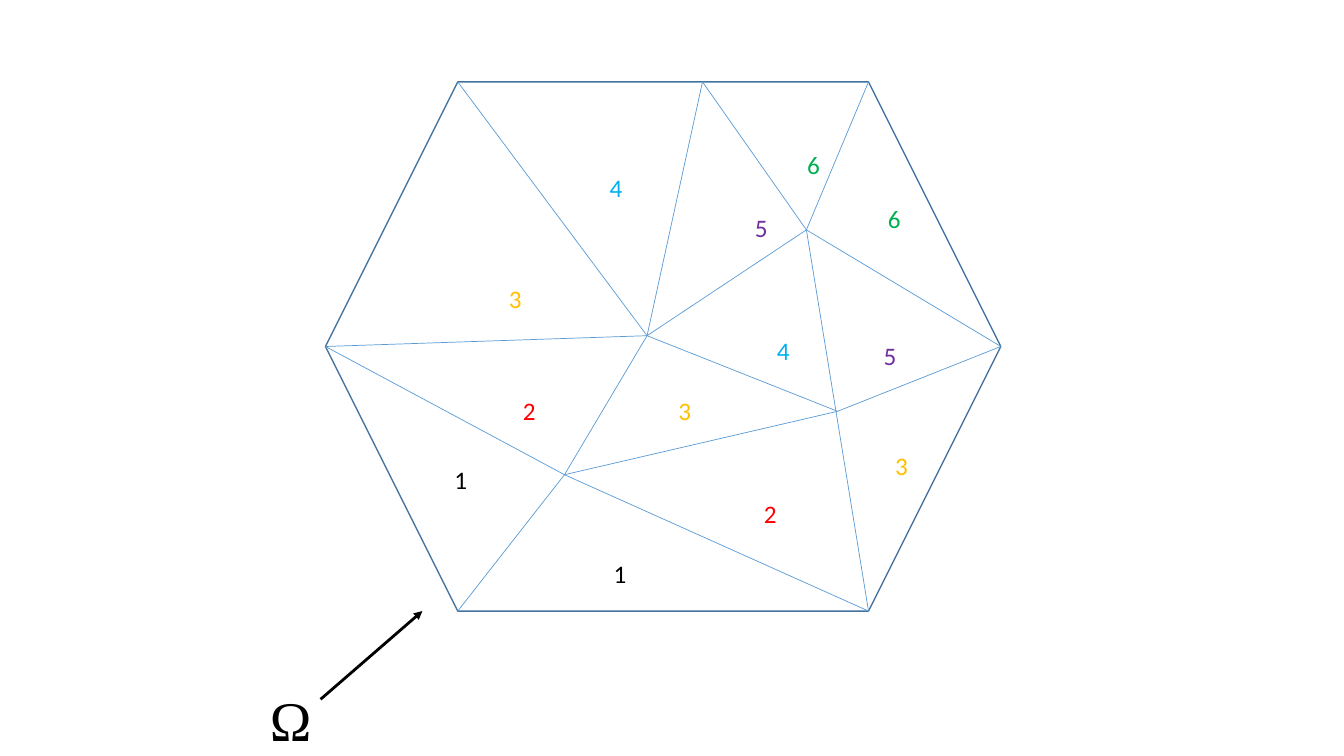
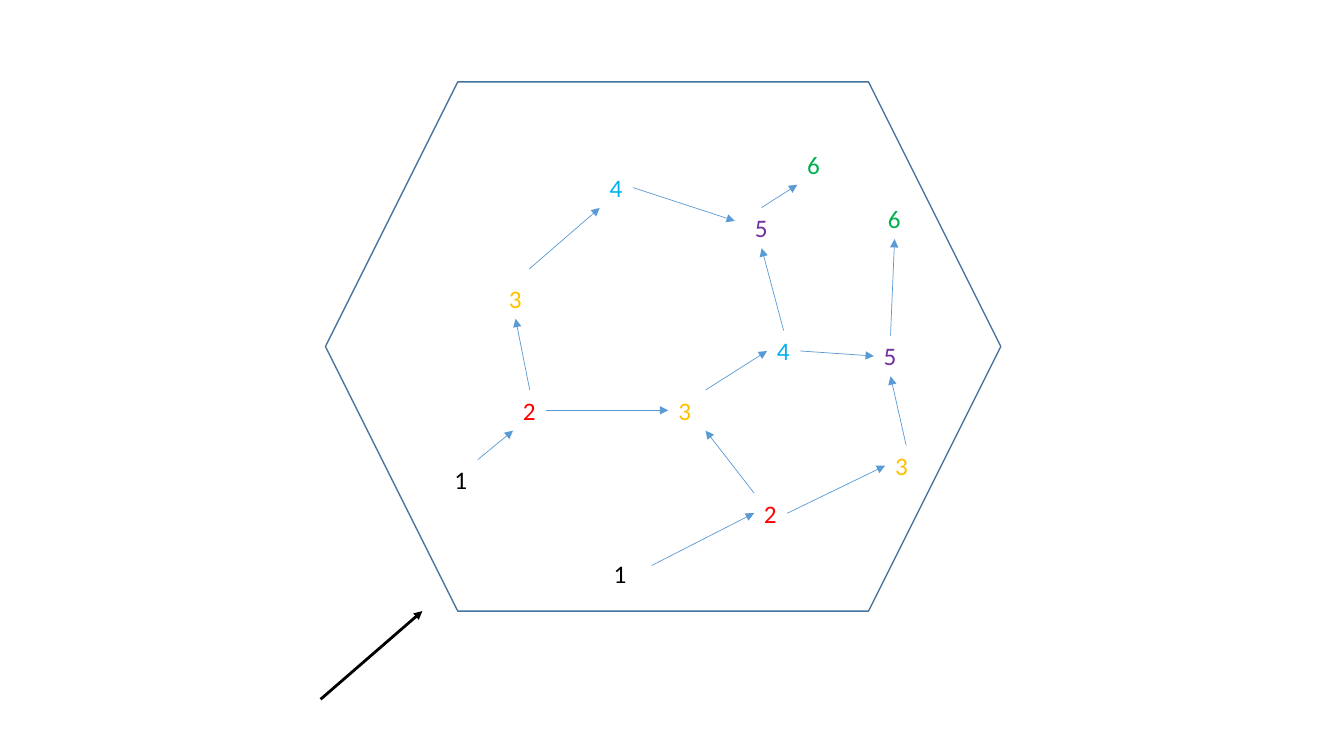
import pptx
import pptx.dml.color
import pptx.enum.shapes
import pptx.enum.text
import pptx.oxml
import pptx.oxml.ns
import pptx.util

Pt = pptx.util.Pt
BLACK, EDGE, BLUE = "000000", "43739E", "5B9BD5"
LEVEL_COLORS = {"1": BLACK, "2": "FF0000", "3": "FFC000",
                "4": "00B0F0", "5": "7030A0", "6": "00B050"}
DOMAIN = (232.5, 58.5, 482.4, 378)
LABEL_W, LABEL_H = 23.8, 29

# Label boxes: left, top and, for the wrapped ones, width, within the domain.
LABELS = {
    "1a": (85, 269.8), "1b": (198.8, 336.8),
    "2a": (134, 220.1), "2b": (306.1, 293.6),
    "3a": (244.9, 220.1, 18), "3b": (399.7, 259.7, 30.2), "3c": (123.9, 140.2),
    "4a": (315.4, 177.7), "5a": (391.7, 181.3),
    "4b": (195.9, 61), "5b": (299.6, 89.8),
    "6a": (337, 44.5), "6b": (394.6, 83.3),
}
SITES = {"n": (0.5, 0), "s": (0.5, 1), "e": (1, 0.5), "w": (0, 0.5),
         "nw": (0, 0), "ne": (1, 0), "sw": (0, 1), "se": (1, 1)}
FLOWS = [
    (("1a", "ne"), ("2a", "sw")),
    (("1b", "ne", 10.5, 8.6), ("2b", "w")),
    (("2a", "e"), ("3a", "w")),
    (("2b", "nw"), ("3a", "se", 8.6)),
    (("2a", "n"), ("3c", "s")),
    (("2b", "e"), ("3b", "w")),
    (("3a", "ne", 8.6), ("4a", "w")),
    (("3c", "ne", -2.2, -6.5), ("4b", "sw")),
    (("4b", "e"), ("5b", "w", -7.2, -5)),
    (("4a", "n"), ("5b", "s")),
    (("5b", "n"), ("6a", "sw")),
    (("4a", "e"), ("5a", "w")),
    (("5a", "n"), ("6b", "s")),
    (("3b", "n"), ("5a", "s")),
]
INNER_NODES = {"top": (269.3, 0), "centre": (229.7, 181.3),
               "upper": (343.5, 105.7), "right": (365.8, 235.3),
               "lower": (170.7, 280.6)}
MESH_EDGES = [
    ("nw", "centre"), ("centre", "w"), ("centre", "top"), ("centre", "upper"),
    ("top", "upper"), ("upper", "ne"), ("upper", "e"), ("upper", "se"),
    ("e", "right"), ("centre", "right"), ("sw", "lower"), ("w", "lower"),
    ("lower", "se"), ("lower", "centre"), ("lower", "right"),
]


def rgb(color):
    """Turn a hex string into a colour."""
    return pptx.dml.color.RGBColor.from_string(color)


def add_text(s, text, box, font="Calibri", size=18, color=BLACK, wrap=False):
    """Add a one-line text box."""
    tb = s.shapes.add_textbox(*map(Pt, box))
    tf = tb.text_frame
    tf.word_wrap = wrap
    tf.auto_size = pptx.enum.text.MSO_AUTO_SIZE.SHAPE_TO_FIT_TEXT
    r = tf.paragraphs[0].add_run()
    r.text = text
    r.font.name = font
    r.font.size = Pt(size)
    r.font.color.rgb = rgb(color)


def add_line(s, start, end, color=BLUE, width=0.5, arrow=False):
    """Add a straight line, with an arrowhead at its end if asked."""
    line = s.shapes.add_connector(pptx.enum.shapes.MSO_CONNECTOR.STRAIGHT,
                                  *map(Pt, (*start, *end)))
    line.line.color.rgb = rgb(color)
    line.line.width = Pt(width)
    spPr = line._element.spPr
    if arrow:
        ln = line.line._get_or_add_ln()
        ln.append(pptx.oxml.parse_xml(
            f'<a:tailEnd {pptx.oxml.ns.nsdecls("a")} type="triangle"/>'))
    spPr.append(pptx.oxml.parse_xml(
        f'<a:effectLst {pptx.oxml.ns.nsdecls("a")}/>'))


def add_domain(s, box):
    """Outline the hexagonal domain."""
    sp = s.shapes.add_shape(pptx.enum.shapes.MSO_SHAPE.HEXAGON, *map(Pt, box))
    sp.shadow.inherit = False
    sp.fill.background()
    sp.line.color.rgb = rgb(EDGE)
    sp.line.width = Pt(1)


def add_mesh(s, box):
    """Split the domain into triangles."""
    x, y, w, h = box
    inset = h / 4
    nodes = {"nw": (inset, 0), "ne": (w - inset, 0), "e": (w, h / 2),
             "se": (w - inset, h), "sw": (inset, h), "w": (0, h / 2),
             **INNER_NODES}
    nodes = {name: (x + dx, y + dy) for name, (dx, dy) in nodes.items()}
    for start, end in MESH_EDGES:
        add_line(s, nodes[start], nodes[end])


def add_labels(s, box):
    """Number the cells by level."""
    for name, (left, top, *width) in LABELS.items():
        level = name[0]
        add_text(s, level, (box[0] + left, box[1] + top,
                            *(width or [LABEL_W]), LABEL_H),
                 color=LEVEL_COLORS[level], wrap=bool(width))


def label_site(box, name, side, dx=0, dy=0):
    """Find a point on the edge of a label, moved by dx and dy."""
    left, top, *width = LABELS[name]
    fx, fy = SITES[side]
    return (box[0] + left + fx * (width or [LABEL_W])[0] + dx,
            box[1] + top + fy * LABEL_H + dy)


def add_flows(s, box):
    """Link each cell to the cells of the next level."""
    for start, end in FLOWS:
        add_line(s, label_site(box, *start), label_site(box, *end), arrow=True)


def add_pointer(s, box):
    """Point at the lower left corner of the domain."""
    x, bottom = box[0], box[1] + box[3]
    add_line(s, (x - 3.5, bottom + 63), (x + 69.2, bottom), BLACK, 2, True)


def add_symbol(s, box):
    """Name the domain beside its pointer."""
    add_text(s, "Ω", (box[0] - 46.8, box[1] + box[3] + 49.5, 49.7, 55.4),
             font="Times New Roman", size=40, wrap=True)


def add_slide(prs, *parts):
    """Build a slide from the given parts of the domain."""
    s = prs.slides.add_slide(prs.slide_layouts[6])
    for part in parts:
        part(s, DOMAIN)


prs = pptx.Presentation()
prs.slide_width, prs.slide_height = Pt(960), Pt(540)
add_slide(prs, add_domain, add_mesh, add_labels, add_pointer, add_symbol)
add_slide(prs, add_domain, add_labels, add_pointer, add_flows)
prs.save("out.pptx")
